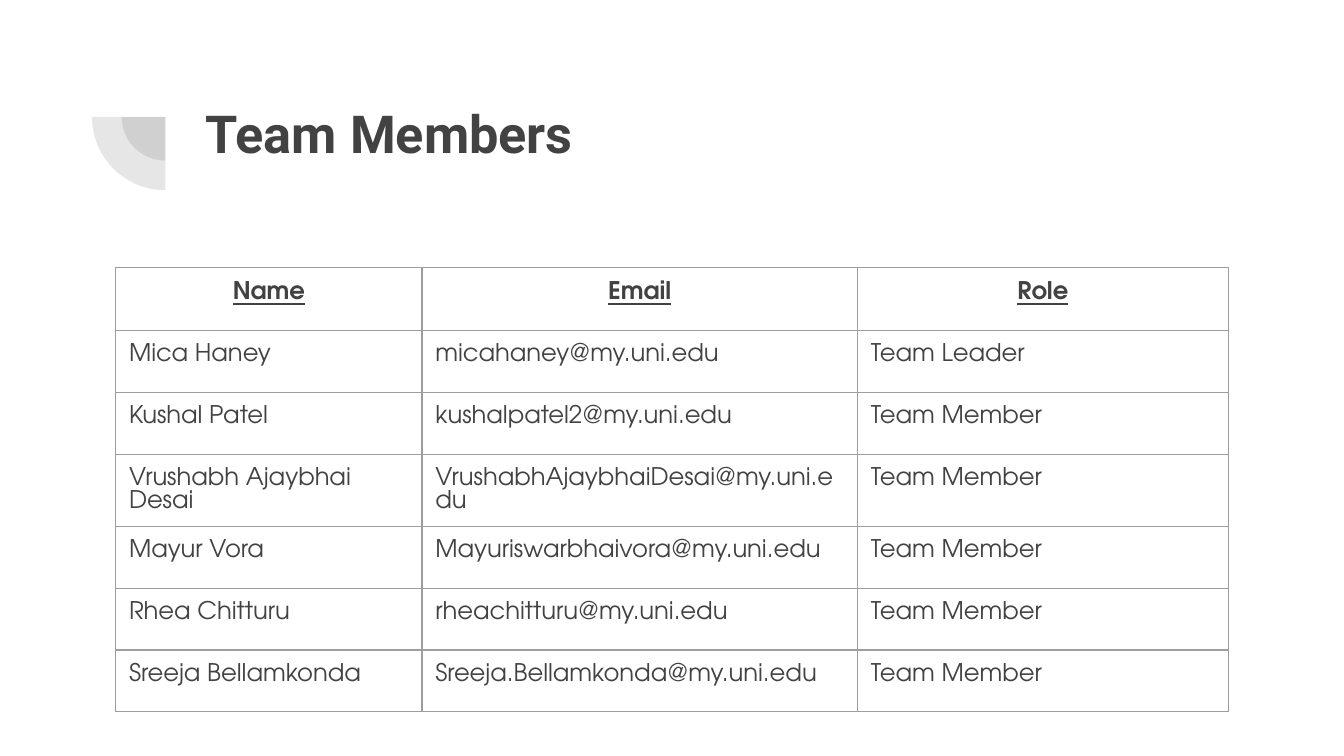
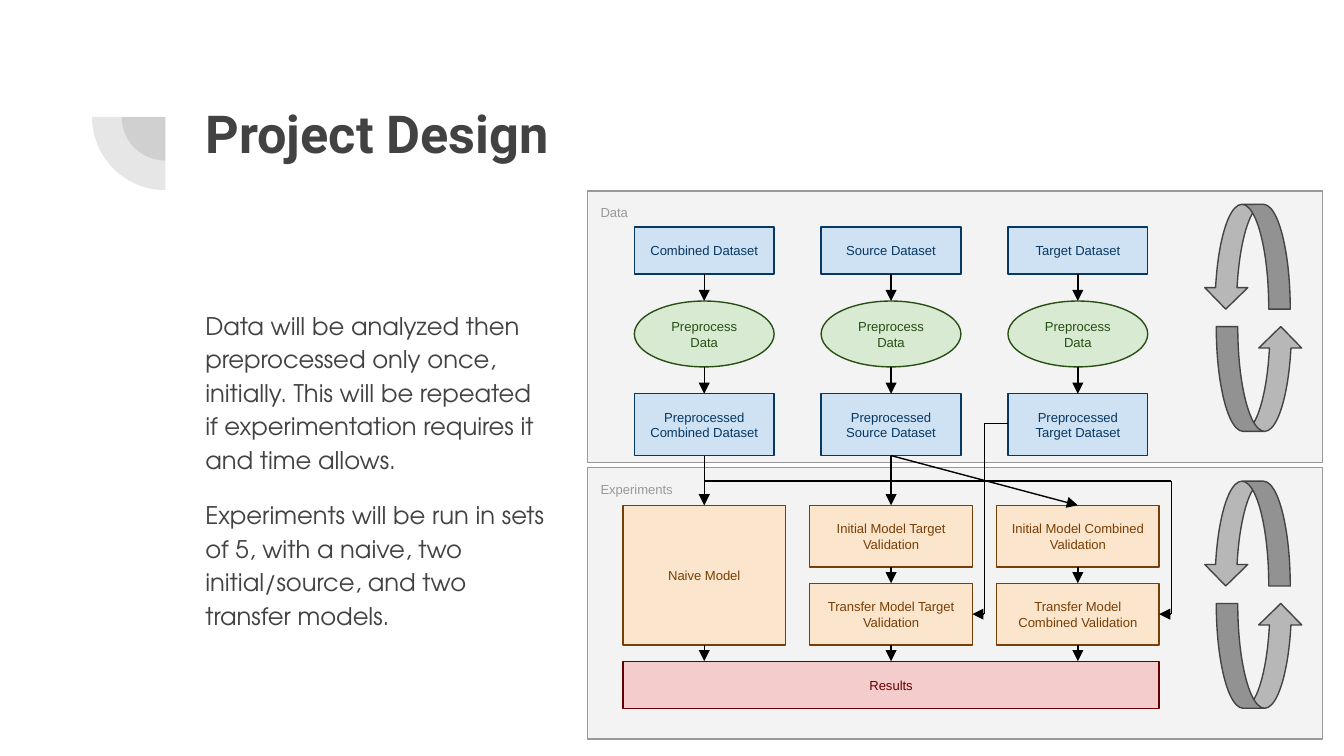
from dataclasses import dataclass
from typing import NamedTuple, Optional

import lxml.etree
import pptx
import pptx.dml.color
import pptx.enum.shapes
import pptx.enum.text
import pptx.oxml.ns
import pptx.util

KIND = pptx.enum.shapes.MSO_SHAPE
ALIGN = pptx.enum.text.PP_ALIGN
ANCHOR = pptx.enum.text.MSO_ANCHOR
qn = pptx.oxml.ns.qn

WIDTH = pptx.util.Inches(10)
HEIGHT = pptx.util.Inches(5.625)
UNIT = WIDTH / 10  # ten square grid columns across the slide


class Paint(NamedTuple):
    fill: str
    ink: str


@dataclass(frozen=True)
class Theme:
    ink: str = "424242"
    rule: str = "9E9E9E"
    wire: str = "000000"
    panel: Paint = Paint("F3F3F3", "999999")
    data: Paint = Paint("CFE2F3", "073763")
    step: Paint = Paint("D9EAD3", "274E13")
    model: Paint = Paint("FCE5CD", "783F04")
    result: Paint = Paint("F4CCCC", "660000")
    cycle: Paint = Paint("B7B7B7", "434343")
    head: str = "Roboto"
    text: str = "TeX Gyre Adventor"
    label: str = "Arial"
    large: float = 28
    body: float = 13
    small: float = 7
    lead: float = 12.1
    line: float = 0.75
    inset: float = 0.1


THEME = Theme()


class Area(NamedTuple):
    """Left, top, width and height in grid units."""
    x: float
    y: float
    w: float
    h: float


class Row(NamedTuple):
    top: float
    high: float

    @property
    def end(self) -> float:
        return self.top + self.high


class Node(NamedTuple):
    text: str
    area: Area
    paint: Paint
    kind: int = KIND.RECTANGLE


class Point(NamedTuple):
    x: float
    y: float


# Flow chart grid: three lanes, and rows shared by all lanes
LANES = [5.24 + 1.39 * i for i in range(3)]
SLIM, WIDE = 1.04, 1.21
RAW, PREP, DONE = Row(1.69, 0.35), Row(2.24, 0.49), Row(2.93, 0.46)
FIRST, NEXT, LAST = Row(3.76, 0.46), Row(4.34, 0.46), Row(4.92, 0.35)
TALL = Row(FIRST.top, NEXT.end - FIRST.top)
PANELS = {"Data": 1.42, "Experiments": 3.48}

TEAM = [
    ("Name", "Email", "Role"),
    ("Mica Haney", "micahaney@my.uni.edu", "Team Leader"),
    ("Kushal Patel", "kushalpatel2@my.uni.edu", "Team Member"),
    ("Vrushabh Ajaybhai Desai", "VrushabhAjaybhaiDesai@my.uni.edu", "Team Member"),
    ("Mayur Vora", "Mayuriswarbhaivora@my.uni.edu", "Team Member"),
    ("Rhea Chitturu", "rheachitturu@my.uni.edu", "Team Member"),
    ("Sreeja Bellamkonda", "Sreeja.Bellamkonda@my.uni.edu", "Team Member"),
]
COLS = (2.28, 3.24, 2.76)
NOTES = (
    "Data will be analyzed then preprocessed only once, initially. "
    "This will be repeated if experimentation requires it and time allows.",
    "Experiments will be run in sets of 5, with a naive, two "
    "initial/source, and two transfer models.",
)


def size(units: float) -> int:
    return round(units * UNIT)


def rgb(code: str) -> pptx.dml.color.RGBColor:
    return pptx.dml.color.RGBColor.from_string(code)


def place(shape, area: Area) -> None:
    shape.left, shape.top, shape.width, shape.height = map(size, area)


def pad(frame, anchor) -> None:
    frame.word_wrap = True
    frame.auto_size = pptx.enum.text.MSO_AUTO_SIZE.NONE
    frame.vertical_anchor = anchor
    frame.margin_left = frame.margin_right = size(THEME.inset)
    frame.margin_top = frame.margin_bottom = size(THEME.inset)


def write(para, text: str, font: str, points: float, ink: str,
          align=ALIGN.LEFT, bold: bool = False, under: bool = False) -> None:
    para.alignment = align
    run = para.add_run()
    run.text = text
    run.font.name = font
    run.font.size = pptx.util.Pt(points)
    run.font.bold = bold
    run.font.underline = under
    run.font.color.rgb = rgb(ink)


def draw(slide, kind: int, area: Area, fill: str, line: Optional[str] = None):
    shape = slide.shapes.add_shape(kind, *map(size, area))
    shape.shadow.inherit = False
    shape.fill.solid()
    shape.fill.fore_color.rgb = rgb(fill)
    if line:
        shape.line.color.rgb = rgb(line)
        shape.line.width = pptx.util.Pt(THEME.line)
    else:
        shape.line.fill.background()
    return shape


def begin(deck, title: str):
    """Add a slide with the quarter-circle mark and its title."""
    slide = deck.slides.add_slide(deck.slide_layouts[5])
    for side in (0.65, 1.09):
        area = Area(1.23 - side / 2, 0.87 - side / 2, side, side)
        pie = draw(slide, KIND.PIE, area, THEME.ink)
        pie.adjustments[0], pie.adjustments[1] = 108, 162
        pie.rotation = 270
        color = next(pie.element.spPr.iter(qn("a:srgbClr")))
        lxml.etree.SubElement(color, qn("a:alpha")).set("val", "13000")
    head = slide.shapes.title
    place(head, Area(1.43, 0.65, 7.69, 1.09))
    pad(head.text_frame, ANCHOR.TOP)
    write(head.text_frame.paragraphs[0], title, THEME.head, THEME.large,
          THEME.ink, bold=True)
    return slide


def edge(cell) -> None:
    """Give a cell a thin rule on all four sides."""
    props = cell._tc.get_or_add_tcPr()
    for spot, side in enumerate("LRTB"):
        line = lxml.etree.Element(qn(f"a:ln{side}"))
        line.set("w", str(pptx.util.Pt(THEME.line)))
        fill = lxml.etree.SubElement(line, qn("a:solidFill"))
        lxml.etree.SubElement(fill, qn("a:srgbClr")).set("val", THEME.rule)
        props.insert(spot, line)


def roster(slide) -> None:
    high = 0.46
    area = Area(0.86, 1.99, sum(COLS), high * len(TEAM))
    table = slide.shapes.add_table(len(TEAM), len(COLS), *map(size, area)).table
    table.first_row = table.horz_banding = False
    for col, wide in zip(table.columns, COLS):
        col.width = size(wide)
    for index, texts in enumerate(TEAM):
        top = index == 0
        table.rows[index].height = size(0.47 if top else high)
        for cell, text in zip(table.rows[index].cells, texts):
            cell.fill.background()
            edge(cell)
            cell.margin_left = cell.margin_right = size(THEME.inset)
            cell.margin_top = cell.margin_bottom = size(THEME.inset)
            para = cell.text_frame.paragraphs[0]
            para.line_spacing = pptx.util.Pt(THEME.lead)
            write(para, text, THEME.text, THEME.body, THEME.ink,
                  ALIGN.CENTER if top else ALIGN.LEFT, top, top)


def prose(slide) -> None:
    frame = slide.shapes.add_textbox(*map(size, Area(1.43, 2.18, 2.74, 2.78))).text_frame
    pad(frame, ANCHOR.TOP)
    for index, text in enumerate(NOTES):
        para = frame.add_paragraph() if index else frame.paragraphs[0]
        para.line_spacing = 1.15
        para.space_before = para.space_after = pptx.util.Pt(12 * index)
        write(para, text, THEME.text, THEME.body, THEME.ink)


def box(slide, node: Node, align=ALIGN.CENTER, anchor=ANCHOR.MIDDLE) -> None:
    shape = draw(slide, node.kind, node.area, *node.paint)
    pad(shape.text_frame, anchor)
    write(shape.text_frame.paragraphs[0], node.text, THEME.label, THEME.small,
          node.paint.ink, align)


def panel(slide, text: str, top: float) -> None:
    """Draw a stage of the flow with its pair of cycle arrows."""
    node = Node(text, Area(4.37, top, 5.47, 2.02), THEME.panel)
    box(slide, node, ALIGN.LEFT, ANCHOR.TOP)
    for x, drop, turn in ((9.05, 1.01, 0), (8.96, 0.1, 180)):
        area = Area(x, top + drop, 0.64, 0.78)
        draw(slide, KIND.CURVED_UP_ARROW, area, *THEME.cycle).rotation = turn


def wire(slide, *points: Point) -> None:
    """Join points with straight lines and end in an arrowhead."""
    for start, stop in zip(points, points[1:]):
        link = slide.shapes.add_connector(
            pptx.enum.shapes.MSO_CONNECTOR.STRAIGHT,
            *map(size, (*start, *stop)))
        link.line.color.rgb = rgb(THEME.wire)
        link.line.width = pptx.util.Pt(THEME.line)
        props = link.element.spPr
        if stop == points[-1]:
            tail = lxml.etree.SubElement(props.find(qn("a:ln")), qn("a:tailEnd"))
            tail.set("type", "triangle")
        lxml.etree.SubElement(props, qn("a:effectLst"))


def span(lane: int, row: Row, wide: float) -> Area:
    """Centre an area of the given width on a lane."""
    return Area(LANES[lane] - wide / 2, row.top, wide, row.high)


def nodes() -> list[Node]:
    found = []
    for lane, name in enumerate(("Combined", "Source", "Target")):
        found += [
            Node(f"{name} Dataset", span(lane, RAW, SLIM), THEME.data),
            Node("Preprocess Data", span(lane, PREP, SLIM), THEME.step, KIND.OVAL),
            Node(f"Preprocessed {name} Dataset", span(lane, DONE, SLIM), THEME.data),
        ]
    found.append(Node("Naive Model", span(0, TALL, WIDE), THEME.model))
    for lane, name in enumerate(("Target", "Combined"), 1):
        for row, stage in ((FIRST, "Initial"), (NEXT, "Transfer")):
            text = f"{stage} Model {name} Validation"
            found.append(Node(text, span(lane, row, WIDE), THEME.model))
    full = LANES[2] - LANES[0] + WIDE
    found.append(Node("Results", span(1, LAST, full), THEME.result))
    return found


def wires(slide) -> None:
    for lane, x in enumerate(LANES):
        pairs = [(RAW, PREP), (PREP, DONE), (NEXT, LAST)]
        if lane > 0:
            pairs.append((FIRST, NEXT))
        if lane < 2:
            pairs.append((DONE, FIRST))
        for above, below in pairs:
            wire(slide, Point(x, above.end), Point(x, below.top))
    wire(slide, Point(LANES[1], DONE.end), Point(LANES[2], FIRST.top))
    gap, goal = 0.09, NEXT.top + NEXT.high / 2
    starts = (Point(LANES[2] - SLIM / 2, 3.15), Point(LANES[0], 3.58))
    for lane, start in enumerate(starts, 1):
        side = LANES[lane] + WIDE / 2
        wire(slide, start, Point(side + gap, start.y),
             Point(side + gap, goal), Point(side, goal))


def main() -> None:
    deck = pptx.Presentation()
    deck.slide_width, deck.slide_height = WIDTH, HEIGHT
    roster(begin(deck, "Team Members"))
    slide = begin(deck, "Project Design")
    prose(slide)
    for text, top in PANELS.items():
        panel(slide, text, top)
    for node in nodes():
        box(slide, node)
    wires(slide)
    deck.save("out.pptx")


if __name__ == "__main__":
    main()
